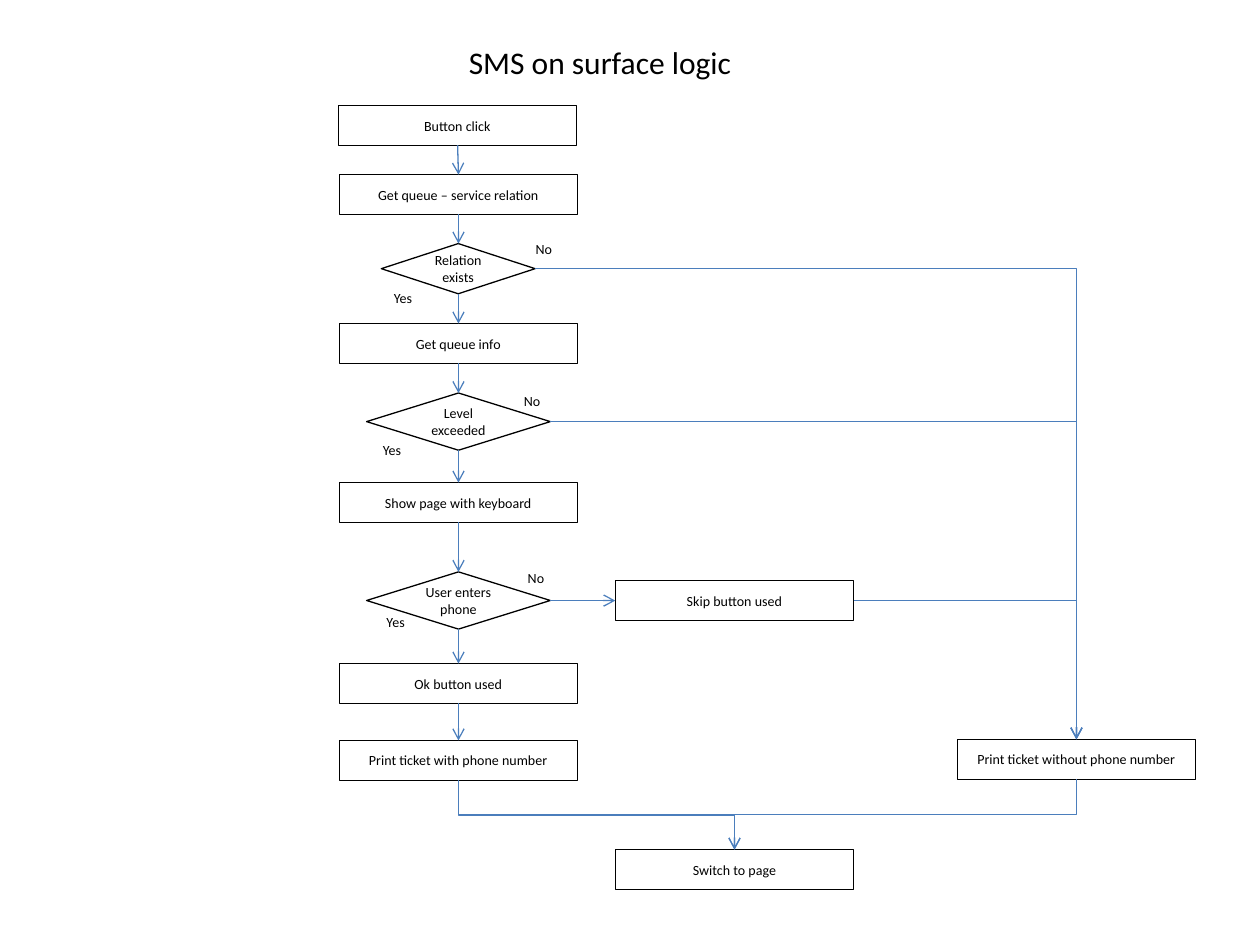
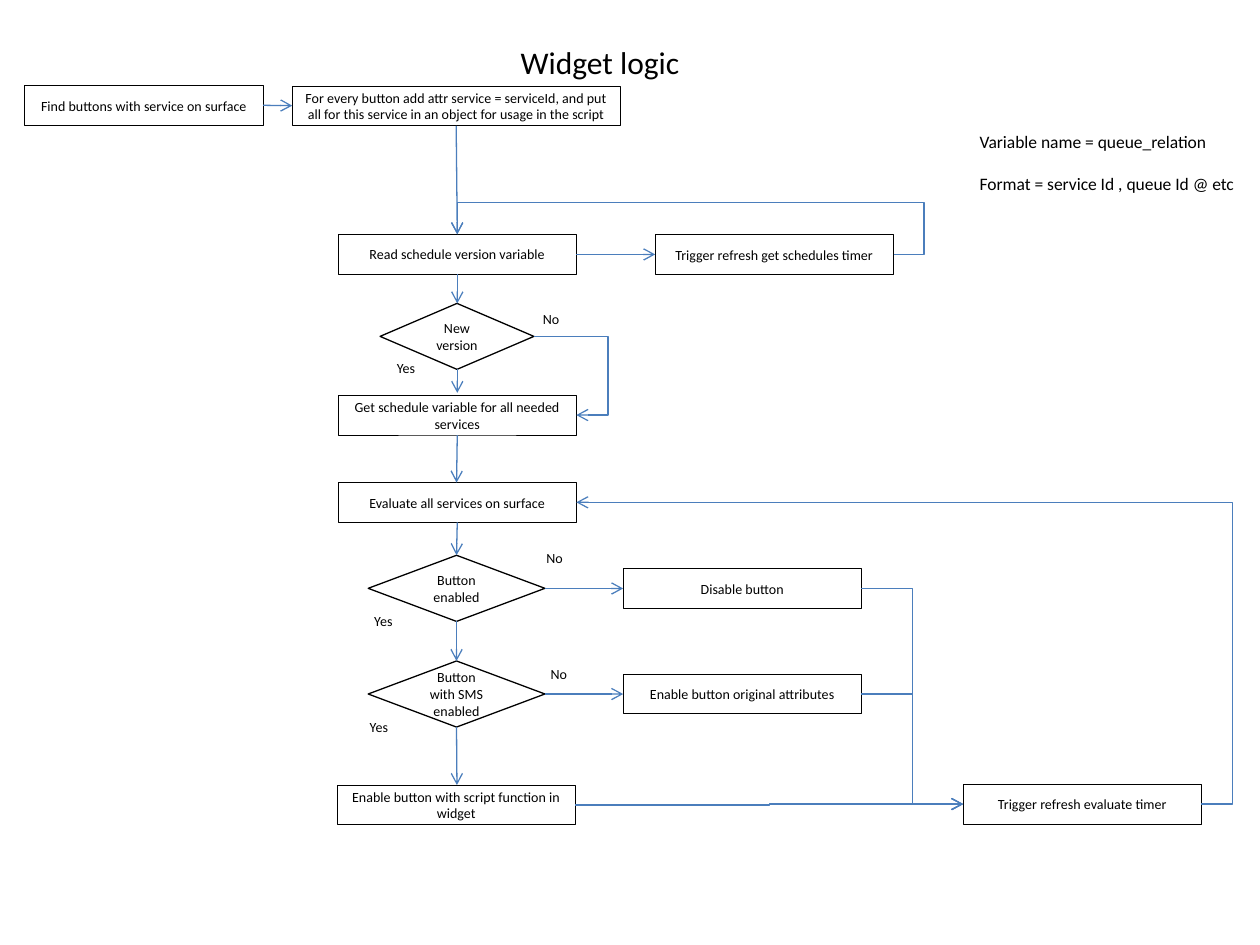
"""Build two flow charts: SMS on surface logic and widget logic."""
from lxml import etree
from pptx import Presentation
from pptx.dml.color import RGBColor
from pptx.enum.shapes import MSO_CONNECTOR, MSO_SHAPE
from pptx.enum.text import MSO_ANCHOR, PP_ALIGN
from pptx.oxml.ns import qn
from pptx.util import Pt

RECT = MSO_SHAPE.RECTANGLE
GEM = MSO_SHAPE.FLOWCHART_DECISION
LINE = MSO_CONNECTOR.STRAIGHT
BEND = MSO_CONNECTOR.ELBOW
MID = MSO_ANCHOR.MIDDLE
LEFT = PP_ALIGN.LEFT
CENTER = PP_ALIGN.CENTER
BLACK, WHITE, BLUE = "000000", "FFFFFF", "4B7EBC"
FONT = "Calibri"
WIDE, HIGH = 136.2, 22.7


def tint(code):
    return RGBColor.from_string(code)


def write(shape, lines, size, align, wrap=True, gap=0):
    frame = shape.text_frame
    frame.word_wrap = wrap
    for i, line in enumerate(lines):
        para = frame.paragraphs[0] if i == 0 else frame.add_paragraph()
        para.alignment = align
        para.space_before = Pt(gap if i else 0)
        run = para.add_run()
        run.text = line
        run.font.size = Pt(size)
        run.font.name = FONT
        run.font.color.rgb = tint(BLACK)


sms = {
    "title": "SMS on surface logic",
    "boxes": [
        ("Button click", 193.2, 60.3, WIDE),
        ("Get queue – service relation", 193.8, 99.8, WIDE),
        ("Get queue info", 193.8, 184.9, WIDE),
        ("Show page with keyboard", 193.8, 275.8, WIDE),
        ("Ok button used", 193.8, 379.2, WIDE),
        ("Print ticket with phone number", 193.8, 423.1, WIDE),
        ("Skip button used", 351.6, 331.8, WIDE),
        ("Print ticket without phone number", 547, 422.5, WIDE),
        ("Switch to page", 351.6, 485.5, WIDE),
    ],
    "gems": [
        ("Relation exists", 217.9, 139.2, 87.9, 28.7),
        ("Level exceeded", 209.5, 224.6, 105, 32.7),
        ("User enters phone", 209.5, 326.8, 105, 32.7),
    ],
    "tags": [
        ("Yes", 218, 162.2), ("No", 299, 133.7),
        ("Yes", 211.7, 248.8), ("No", 292.3, 220.5),
        ("Yes", 213.8, 347), ("No", 294.5, 321.8),
    ],
    "lines": [
        (261.5, 83, 262, 99.8), (262, 122.5, 262, 139.2),
        (262, 167.9, 262, 184.9), (262, 207.6, 262, 224.6),
        (262, 257.3, 262, 275.8), (262, 298.5, 262, 326.8),
        (262, 359.5, 262, 379.2), (262, 401.9, 262, 423.1),
        (314.5, 343.2, 351.6, 343.2),
    ],
    "bends": [
        (305.8, 153.5, 615.1, 422.5, 2, [], 0),
        (314.5, 241, 615.1, 422.5, 2, [], 0),
        (487.8, 343.2, 615.1, 422.5, 2, [], 0),
        (615.1, 445.2, 419.7, 485.5, 3, [0.5], 90),
        (262, 445.8, 419.7, 485.5, 3, [0.5], 270),
    ],
    "notes": [],
}

widget = {
    "title": "Widget logic",
    "boxes": [
        ("Find buttons with service on surface", 14.2, 48.9, WIDE),
        ("For every button add attr service = serviceId, and put all for "
         "this service in an object for usage in the script", 167, 49.2, 187.5),
        ("Read schedule version variable", 193.2, 133.9, WIDE),
        ("Trigger refresh get schedules timer", 374.4, 134.1, WIDE),
        ("Get schedule variable for all needed services", 193.2, 225.9, WIDE),
        ("Evaluate all services on surface", 193.2, 275.8, WIDE),
        ("Disable button", 356.1, 325, WIDE),
        ("Enable button original attributes", 356.1, 385.2, WIDE),
        ("Enable button with script function in widget", 192.6, 448.6, WIDE),
        ("Trigger refresh evaluate timer", 550.4, 448.2, WIDE),
    ],
    "gems": [
        ("New version", 217.2, 173.4, 87.9, 37.7),
        ("Button enabled", 210.4, 317.3, 101, 37.8),
        ("Button with SMS enabled", 210.4, 377.7, 101, 37.8),
    ],
    "tags": [
        ("Yes", 219.7, 201.8), ("No", 303.1, 174.2),
        ("Yes", 206.8, 346.7), ("No", 305.1, 310.7),
        ("Yes", 204.2, 407), ("No", 307.6, 376.8),
    ],
    "lines": [
        (150.4, 60.2, 167, 60.4), (260.7, 71.9, 261.3, 133.9),
        (261.3, 156.6, 261.3, 173.4), (261.3, 211.1, 261.3, 224.5),
        (261.3, 248.6, 260.9, 275.8), (261.3, 298.5, 260.9, 317.3),
        (260.9, 355.1, 260.9, 377.7), (260.9, 415.5, 261.1, 448.6),
        (329.4, 145.4, 374.4, 145.4), (311.4, 336.3, 356.1, 336.3),
        (311.4, 396.6, 356.1, 396.6),
    ],
    "bends": [
        (305.1, 192.3, 329.4, 237.2, 3, [1.74], 0),
        (686.6, 459.5, 329.4, 287.1, 3, [-0.05], 0),
        (510.6, 145.4, 261.3, 133.9, 4, [-0.07, 2.57], 0),
        (492.3, 336.3, 550.4, 459.5, 3, [0.5], 0),
        (492.3, 396.6, 550.4, 459.5, 3, [0.5], 0),
        (328.8, 460, 550.4, 459.5, 3, [0.5], 0),
    ],
    "notes": ["Variable name = queue_relation",
              "Format = service Id , queue Id @ etc"],
}

deck = Presentation()
deck.slide_width, deck.slide_height = Pt(720), Pt(540)

for page in (sms, widget):
    shapes = deck.slides.add_slide(deck.slide_layouts[6]).shapes

    title = shapes.add_textbox(Pt(36.9), Pt(15.4), Pt(612), Pt(39.6))
    title.text_frame.vertical_anchor = MID
    write(title, [page["title"]], 18, CENTER)

    steps = [(RECT, 0.5, *box, HIGH) for box in page["boxes"]]
    steps += [(GEM, 0.75, *gem) for gem in page["gems"]]
    for kind, thick, text, x, y, wide, high in steps:
        step = shapes.add_shape(kind, Pt(x), Pt(y), Pt(wide), Pt(high))
        step.shadow.inherit = False
        step.fill.solid()
        step.fill.fore_color.rgb = tint(WHITE)
        step.line.color.rgb = tint(BLACK)
        step.line.width = Pt(thick)
        step.text_frame.vertical_anchor = MID
        write(step, [text], 8, CENTER)

    links = [(LINE, *line, 0, [], 0) for line in page["lines"]]
    links += [(BEND, *bend) for bend in page["bends"]]
    for kind, x1, y1, x2, y2, parts, bends, turn in links:
        if turn:
            sign = 1 if turn == 90 else -1
            midx, midy = (x1 + x2) / 2, (y1 + y2) / 2
            dx, dy = sign * (y2 - y1) / 2, sign * (x1 - x2) / 2
            x1, y1, x2, y2 = midx - dx, midy - dy, midx + dx, midy + dy
        link = shapes.add_connector(kind, Pt(x1), Pt(y1), Pt(x2), Pt(y2))
        link.line.color.rgb = tint(BLUE)
        link.line.width = Pt(0.75)
        props = link._element.spPr
        etree.SubElement(props.find(qn("a:ln")), qn("a:tailEnd"), type="arrow")
        etree.SubElement(props, qn("a:effectLst"))
        if turn:
            props.find(qn("a:xfrm")).set("rot", str(turn * 60000))
        if parts:
            geom = props.find(qn("a:prstGeom"))
            geom.set("prst", f"bentConnector{parts}")
            guides = geom.find(qn("a:avLst"))
            for i, bend in enumerate(bends, 1):
                etree.SubElement(guides, qn("a:gd"), name=f"adj{i}",
                                 fmla=f"val {round(bend * 100000)}")

    for text, x, y in page["tags"]:
        tag = shapes.add_textbox(Pt(x), Pt(y), Pt(25), Pt(17))
        write(tag, [text], 8, LEFT, False)

    if page["notes"]:
        note = shapes.add_textbox(Pt(552.7), Pt(71.3), Pt(162), Pt(44))
        write(note, page["notes"], 10, LEFT, False, 12)

deck.save("out.pptx")
